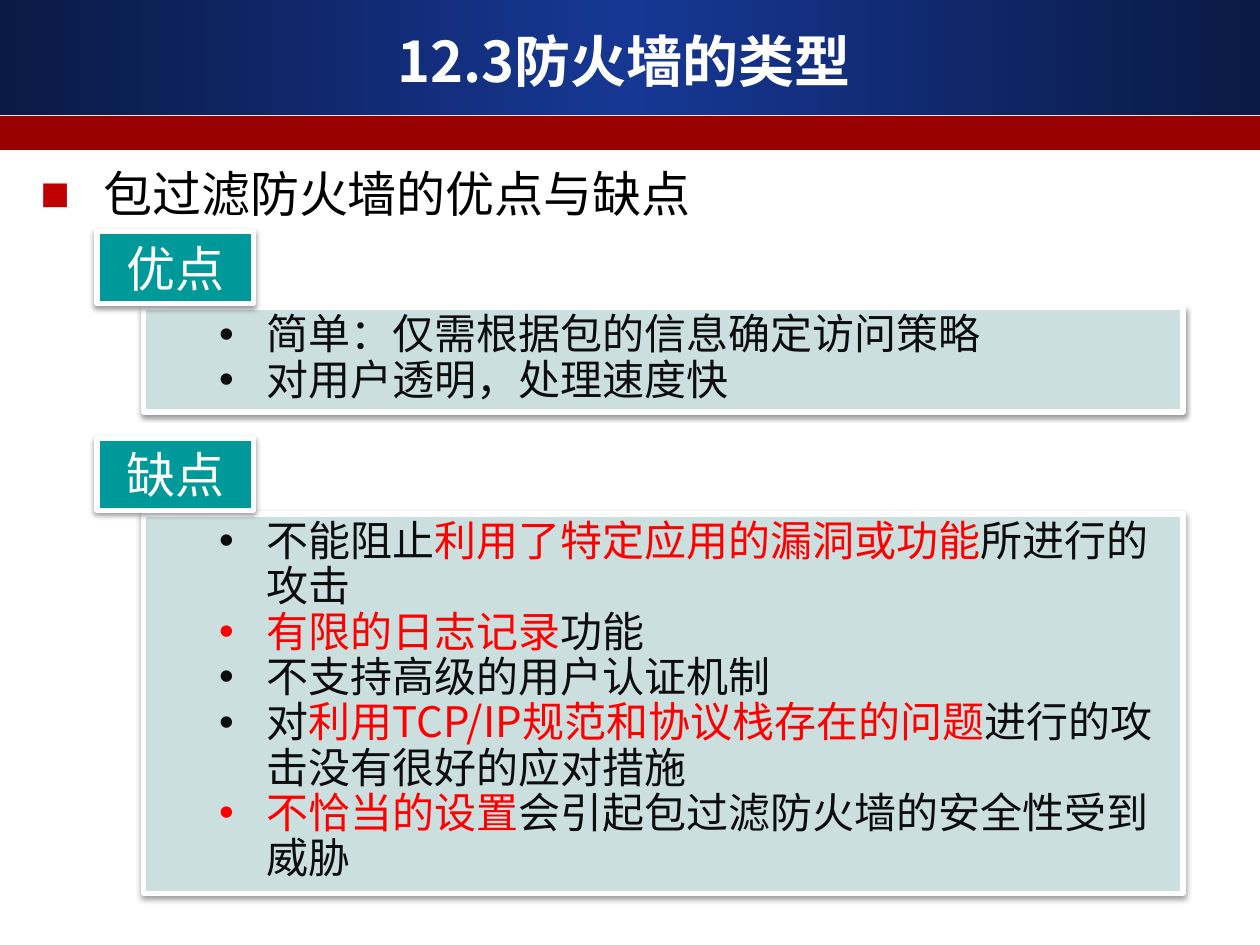
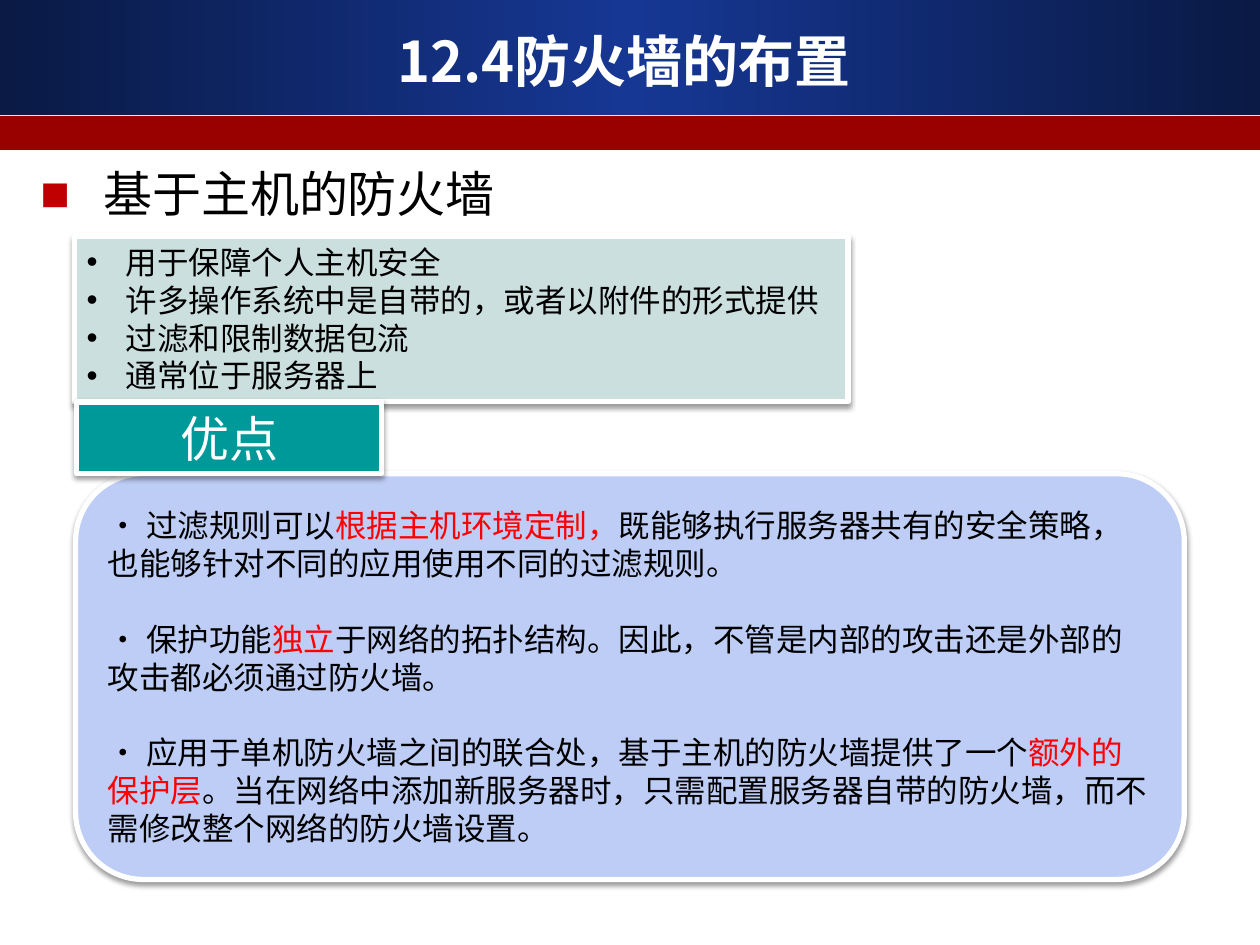
from copy import deepcopy

from lxml.etree import SubElement
from pptx import Presentation
from pptx.dml.color import RGBColor
from pptx.enum.shapes import MSO_SHAPE
from pptx.enum.text import MSO_ANCHOR, MSO_AUTO_SIZE, PP_ALIGN
from pptx.oxml.ns import qn
from pptx.util import Inches, Pt

FONT = "Noto Sans CJK SC"
WHITE = RGBColor(0xFF, 0xFF, 0xFF)
BLACK = RGBColor(0x00, 0x00, 0x00)
INK = RGBColor(0x0D, 0x0D, 0x0D)
RED = RGBColor(0xFF, 0x00, 0x00)
MARKER_RED = RGBColor(0xC0, 0x00, 0x00)
BAND_RED = RGBColor(0x99, 0x00, 0x00)
BAND_EDGE = RGBColor(0x0A, 0x1A, 0x45)
BAND_CENTRE = RGBColor(0x16, 0x37, 0x94)
TEAL = RGBColor(0x00, 0x99, 0x99)
PALE_TEAL = RGBColor(0xCC, 0xDF, 0xDF)
PALE_BLUE = RGBColor(0xBE, 0xCD, 0xF6)


def write(shape, lines, size, color, bold=False, align=PP_ALIGN.LEFT, anchor=MSO_ANCHOR.TOP,
          bullet=None, bullet_color=None, margin=0, hanging=0, level=0, spacing=1.0, gap=0):
    """Fill a shape with one paragraph per line; text between asterisks turns red."""
    frame = shape.text_frame
    frame.word_wrap = True
    frame.auto_size = MSO_AUTO_SIZE.NONE
    frame.vertical_anchor = anchor
    for number, line in enumerate(lines):
        paragraph = frame.add_paragraph() if number else frame.paragraphs[0]
        paragraph.alignment = align
        paragraph.level = level
        paragraph.line_spacing = spacing
        paragraph.space_before = Pt(gap if number else 0)
        properties = paragraph._p.get_or_add_pPr()
        properties.set("marL", str(Inches(margin)))
        properties.set("indent", str(Inches(-hanging)))
        if bullet_color:
            marker = SubElement(properties, qn("a:buClr"))
            SubElement(marker, qn("a:srgbClr"), val=str(bullet_color))
        if bullet:
            SubElement(properties, qn("a:buFont"), typeface="Arial")
            SubElement(properties, qn("a:buChar"), char=bullet)
        for part, text in enumerate(line.split("*")):
            if text:
                run = paragraph.add_run()
                run.text = text
                run.font.size = Pt(size)
                run.font.bold = bold
                run.font.color.rgb = RED if part % 2 else color
                run.font.name = FONT
                SubElement(run._r.get_or_add_rPr(), qn("a:ea"), typeface=FONT)


def add_card(slide, left, top, width, height, fill, kind=MSO_SHAPE.RECTANGLE):
    """Add a white-edged box with a soft shadow below it."""
    card = slide.shapes.add_shape(kind, Inches(left), Inches(top), Inches(width), Inches(height))
    card.fill.solid()
    card.fill.fore_color.rgb = fill
    card.line.color.rgb = WHITE
    card.line.width = Pt(3)
    card.shadow.inherit = False
    effects = card.element.spPr.find(qn("a:effectLst"))
    shadow = SubElement(effects, qn("a:outerShdw"), blurRad=str(Pt(3.1)), dist=str(Pt(1.6)),
                        dir="5400000", rotWithShape="0")
    shadow_color = SubElement(shadow, qn("a:srgbClr"), val="000000")
    SubElement(shadow_color, qn("a:alpha"), val="38000")
    return card


presentation = Presentation()
presentation.slide_width = Inches(10)
presentation.slide_height = Inches(7.5)
layout = presentation.slide_layouts[1]

# Titles and headings
slides = []
for title_text, heading_text in [
    ("12.3防火墙的类型", "包过滤防火墙的优点与缺点"),
    ("12.4防火墙的布置", "基于主机的防火墙"),
]:
    slide = presentation.slides.add_slide(layout)
    slides.append(slide)
    title, heading = slide.shapes.title, slide.placeholders[1]
    title.left, title.top, title.width, title.height = map(Inches, (0.33, 0.17, 9.25, 0.62))
    write(title, [title_text], 32, WHITE, bold=True, align=PP_ALIGN.CENTER,
          anchor=MSO_ANCHOR.MIDDLE)
    heading.left, heading.top, heading.width, heading.height = map(Inches, (0.22, 1.25, 9.02, 0.57))
    heading.fill.solid()
    heading.fill.fore_color.rgb = WHITE
    heading.line.color.rgb = WHITE
    heading.line.width = Pt(2)
    write(heading, [heading_text], 28, BLACK, bullet="■", bullet_color=MARKER_RED,
          margin=0.5, hanging=0.5)
types_slide, placement_slide = slides

# Header bands, moved to the layout so that both slides share them
bands = []
for top, height in [(0, 0.91), (0.92, 0.27)]:
    band = types_slide.shapes.add_shape(MSO_SHAPE.RECTANGLE, 0, Inches(top), Inches(10),
                                        Inches(height))
    band.line.fill.background()
    band.shadow.inherit = False
    bands.append(band)
blue_band, red_band = bands
red_band.fill.solid()
red_band.fill.fore_color.rgb = BAND_RED
blue_band.fill.gradient()
blue_band.fill.gradient_angle = 0
edge_stop, centre_stop = blue_band.fill.gradient_stops
edge_stop.color.rgb = BAND_EDGE
centre_stop.color.rgb = BAND_CENTRE
centre_stop.position = 0.5
stop_list = blue_band.element.spPr.find(f".//{qn('a:gsLst')}")
last_stop = deepcopy(stop_list[0])
last_stop.set("pos", "100000")
stop_list.append(last_stop)
for position, band in enumerate(bands, start=2):
    layout.shapes.element.insert(position, band.element)

# Slide 1: advantages and drawbacks of packet filtering
for label_text, label_top, panel_height, points in [
    ("优点", 1.84, 0.83, ["简单：仅需根据包的信息确定访问策略", "对用户透明，处理速度快"]),
    ("缺点", 3.48, 3.01, [
        "不能阻止*利用了特定应用的漏洞或功能*所进行的攻击",
        "*有限的日志记录*功能",
        "不支持高级的用户认证机制",
        "对*利用TCP/IP规范和协议栈存在的问题*进行的攻击没有很好的应对措施",
        "*不恰当的设置*会引起包过滤防火墙的安全性受到威胁",
    ]),
]:
    panel = add_card(types_slide, 1.14, label_top + 0.6, 8.25, panel_height, PALE_TEAL)
    write(panel, points, 24, INK, bullet="•", margin=0.88, hanging=0.38, level=1, spacing=0.9)
    label = add_card(types_slide, 0.77, label_top, 1.24, 0.57, TEAL)
    write(label, [label_text], 28, WHITE, align=PP_ALIGN.CENTER)

# Slide 2: host-based firewall
features = add_card(placement_slide, 0.59, 1.88, 6.14, 1.31, PALE_TEAL)
write(features, [
    "用于保障个人主机安全",
    "许多操作系统中是自带的，或者以附件的形式提供",
    "过滤和限制数据包流",
    "通常位于服务器上",
], 18, BLACK, bullet="•", margin=0.31, hanging=0.31)

advantages = add_card(placement_slide, 0.6, 3.76, 8.8, 3.22, PALE_BLUE,
                      MSO_SHAPE.ROUNDED_RECTANGLE)
write(advantages, [
    "• 过滤规则可以*根据主机环境定制，*既能够执行服务器共有的安全策略，"
    "也能够针对不同的应用使用不同的过滤规则。",
    "• 保护功能*独立*于网络的拓扑结构。因此，不管是内部的攻击还是外部的攻击都必须通过防火墙。",
    "• 应用于单机防火墙之间的联合处，基于主机的防火墙提供了一个*额外的保护层*。"
    "当在网络中添加新服务器时，只需配置服务器自带的防火墙，而不需修改整个网络的防火墙设置。",
], 18, BLACK, anchor=MSO_ANCHOR.MIDDLE, gap=21.6)

advantages_label = add_card(placement_slide, 0.61, 3.19, 2.42, 0.57, TEAL)
write(advantages_label, ["优点"], 28, WHITE, align=PP_ALIGN.CENTER)

presentation.save("out.pptx")
